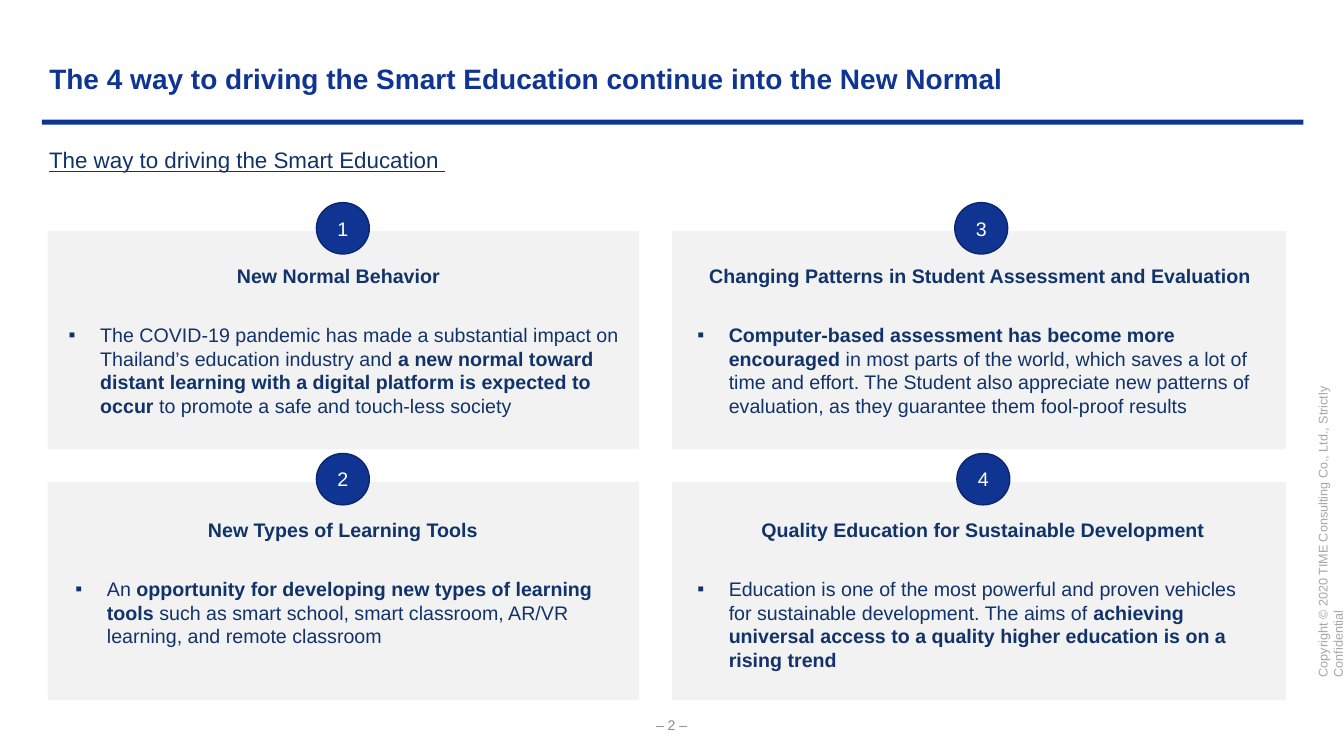
from lxml import etree
from pptx import Presentation
from pptx.dml.color import RGBColor
from pptx.enum.shapes import MSO_SHAPE
from pptx.enum.text import MSO_ANCHOR, PP_ALIGN
from pptx.oxml.ns import qn
from pptx.util import Pt

BLUE = RGBColor(0x0F, 0x34, 0x92)
EDGE = RGBColor(0x0B, 0x26, 0x6C)
NAVY = RGBColor(0x11, 0x33, 0x69)
PANEL = RGBColor(0xF2, 0xF2, 0xF2)
WHITE = RGBColor(0xFF, 0xFF, 0xFF)
GRAY = RGBColor(0x8C, 0x8C, 0x8C)
LIGHT = RGBColor(0xA6, 0xA6, 0xA6)


def write(sp, runs, size, color, align=PP_ALIGN.LEFT, anchor=MSO_ANCHOR.TOP):
    """Fill a shape with one paragraph of (text, bold) runs and return it."""
    tf = sp.text_frame
    tf.word_wrap = True
    tf.vertical_anchor = anchor
    p = tf.paragraphs[0]
    p.alignment = align
    for text, bold in runs:
        r = p.add_run()
        r.text = text
        r.font.name = "Arial"
        r.font.size = Pt(size)
        r.font.bold = bold
        r.font.color.rgb = color
    return p


def add_filled(kind, left, top, width, height, color):
    sp = s.shapes.add_shape(kind, Pt(left), Pt(top), Pt(width), Pt(height))
    sp.shadow.inherit = False
    sp.fill.solid()
    sp.fill.fore_color.rgb = color
    sp.line.fill.background()
    return sp


prs = Presentation()
prs.slide_width, prs.slide_height = Pt(960), Pt(540)
s = prs.slides.add_slide(prs.slide_layouts[5])

# Title, rule and subtitle
title = s.shapes.title
title.left, title.top, title.width, title.height = Pt(28), Pt(40.3), Pt(760), Pt(31.5)
write(title, [("The 4 way to driving the Smart Education continue into the New Normal", True)],
      20, BLUE, anchor=MSO_ANCHOR.MIDDLE)
add_filled(MSO_SHAPE.RECTANGLE, 30, 85.5, 901, 3.5, BLUE)
subtitle = s.shapes.add_textbox(Pt(28), Pt(101), Pt(346), Pt(26.5))
p = write(subtitle, [("The way to driving the Smart Education ", False)], 16, NAVY)
p.runs[0].font.underline = True

# Cards: column, row, circle left, heading (left, width, text), body (left, width, runs)
COLUMNS = [(34, 422.5), (480, 438.5)]
ROW_TOP, ROW_STEP = 165, 179.2
cards = [
    (0, 0, 226, (150, 183.5, "New Normal Behavior"),
     (42, 410.5, [
         ("The COVID-19 pandemic has made a substantial impact on Thailand’s education industry and ", False),
         ("a new normal toward distant learning with a digital platform is expected to occur ", True),
         ("to promote a safe and touch-less society", False)])),
    (0, 1, 226, (131, 228, "New Types of Learning Tools"),
     (46.8, 394.5, [
         ("An ", False),
         ("opportunity for developing new types of learning tools", True),
         (" such as smart school, smart classroom, AR/VR learning, and remote classroom", False)])),
    (1, 0, 682, (486.7, 427, "Changing Patterns in Student Assessment and Evaluation"),
     (491, 422.5, [
         ("Computer-based assessment has become more encouraged ", True),
         ("in most parts of the world, which saves a lot of time and effort. The Student also appreciate "
          "new patterns of evaluation, as they guarantee them fool-proof results", False)])),
    (1, 1, 683.5, (516.2, 372.2, "Quality Education for Sustainable Development"),
     (491, 409.5, [
         ("Education is one of the most powerful and proven vehicles for sustainable development. "
          "The aims of ", False),
         ("achieving universal access to a quality higher education is on a rising trend", True)])),
]
for number, (col, row, circle_left, heading, body) in enumerate(cards, 1):
    top = ROW_TOP + row * ROW_STEP
    left, width = COLUMNS[col]
    add_filled(MSO_SHAPE.RECTANGLE, left, top, width, 156, PANEL)

    circle = add_filled(MSO_SHAPE.OVAL, circle_left, top - 20.3, 37.8, 36.7, BLUE)
    circle.line.color.rgb = EDGE
    circle.line.width = Pt(1)
    write(circle, [(str(number), False)], 14, WHITE, PP_ALIGN.CENTER, MSO_ANCHOR.MIDDLE)

    text_top = top + 20 + row * 2.2
    left, width, text = heading
    box = s.shapes.add_textbox(Pt(left), Pt(text_top), Pt(width), Pt(24.5))
    write(box, [(text, True)], 14, NAVY, PP_ALIGN.CENTER)

    left, width, runs = body
    box = s.shapes.add_textbox(Pt(left), Pt(text_top + 42.4), Pt(width), Pt(75))
    p = write(box, runs, 14, NAVY)
    pPr = p._p.get_or_add_pPr()
    pPr.set("marL", str(Pt(22.5)))
    pPr.set("indent", str(-Pt(22.5)))
    etree.SubElement(pPr, qn("a:buFont")).set("typeface", "Arial")
    etree.SubElement(pPr, qn("a:buChar")).set("char", "▪")

# Page number and copyright line
page = s.shapes.add_textbox(Pt(444), Pt(510), Pt(71.5), Pt(15))
write(page, [("– 2 –", False)], 10, GRAY, PP_ALIGN.CENTER, MSO_ANCHOR.MIDDLE)
notice = s.shapes.add_textbox(Pt(818), Pt(355), Pt(253.5), Pt(18))
notice.rotation = 270
write(notice, [("Copyright © 2020 TIME Consulting Co., Ltd., Strictly Confidential", False)], 9, LIGHT)

prs.save("out.pptx")
